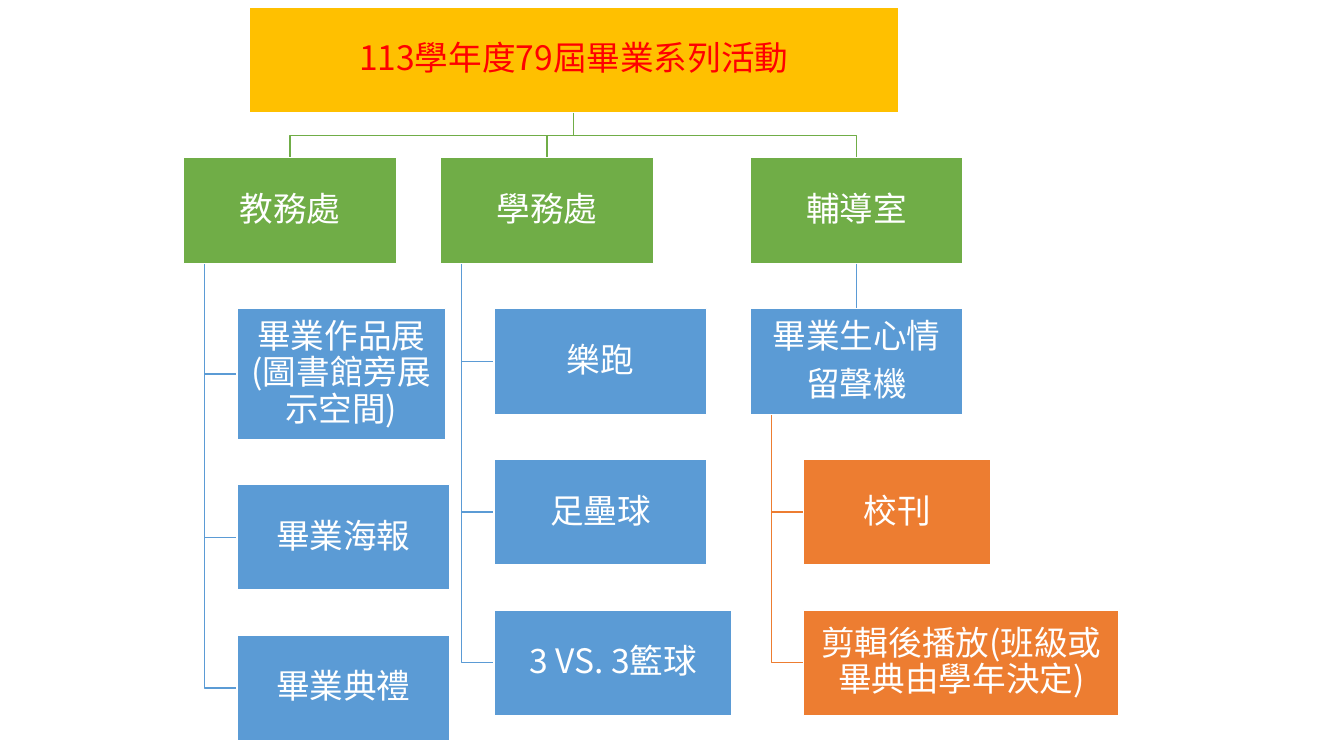
from dataclasses import dataclass

from lxml.etree import SubElement
from pptx import Presentation
from pptx.dml.color import RGBColor
from pptx.enum.shapes import MSO_CONNECTOR as Connector, MSO_SHAPE as Preset
from pptx.enum.text import MSO_ANCHOR as Anchor, MSO_AUTO_SIZE as AutoSize, PP_ALIGN as Align
from pptx.oxml.ns import qn
from pptx.util import Inches, Pt

FONT = "Noto Sans CJK SC"
GOLD, GREEN, BLUE, ORANGE = "FFC000", "70AD47", "5B9BD5", "ED7D31"
WHITE, RED = "FFFFFF", "FF0000"
HEIGHT, GAP, WIDTH = 1.05, 0.445, 2.11
INDENT, STEM = 0.53, 0.21
FIRST_TOP = 0.07


@dataclass
class Box:
    text: str
    left: float
    top: float
    fill: str
    width: float = WIDTH
    height: float = HEIGHT
    ink: str = WHITE

    @property
    def bottom(self) -> float:
        return self.top + self.height

    @property
    def center(self) -> float:
        return self.left + self.width / 2

    @property
    def middle(self) -> float:
        return self.top + self.height / 2

    @property
    def next_top(self) -> float:
        return self.bottom + GAP


@dataclass
class Leaf:
    text: str
    width: float = WIDTH
    height: float = HEIGHT


def color(value: str) -> RGBColor:
    return RGBColor.from_string(value)


def stack_leaves(parent: Box, fill: str, leaves: list[Leaf]) -> list[Box]:
    boxes: list[Box] = []
    top = parent.next_top
    for leaf in leaves:
        boxes.append(Box(leaf.text, parent.left + INDENT, top, fill, leaf.width, leaf.height))
        top = boxes[-1].next_top
    return boxes


def draw_elbow(slide, points: list[tuple[float, float]], stroke: str) -> None:
    corners = [(Inches(x), Inches(y)) for x, y in points]
    builder = slide.shapes.build_freeform(*corners[0])
    builder.add_line_segments(corners[1:], close=False)
    elbow = builder.convert_to_shape()
    elbow.shadow.inherit = False
    elbow.fill.background()
    elbow.line.color.rgb = color(stroke)
    elbow.line.width = Pt(1)


def fill_box(shape, box: Box) -> None:
    shape.left, shape.top = Inches(box.left), Inches(box.top)
    shape.width, shape.height = Inches(box.width), Inches(box.height)
    shape.fill.solid()
    shape.fill.fore_color.rgb = color(box.fill)
    shape.line.color.rgb = color(WHITE)
    shape.line.width = Pt(1)
    frame = shape.text_frame
    frame.text = box.text
    frame.word_wrap = True
    frame.auto_size = AutoSize.NONE
    frame.vertical_anchor = Anchor.MIDDLE
    frame.margin_left = frame.margin_right = Inches(0.02)
    frame.margin_top = frame.margin_bottom = Inches(0.02)
    for paragraph in frame.paragraphs:
        paragraph.alignment = Align.CENTER
        paragraph.line_spacing = 0.9
        paragraph.space_before = Pt(0)
        paragraph.space_after = Pt(8.4)
        for run in paragraph.runs:
            run.font.name = FONT
            run.font.size = Pt(24)
            run.font.color.rgb = color(box.ink)
            SubElement(run.font._element, qn("a:ea"), typeface=FONT)


def draw_box(slide, box: Box):
    shape = slide.shapes.add_shape(Preset.RECTANGLE, 0, 0, 0, 0)
    shape.shadow.inherit = False
    fill_box(shape, box)
    return shape


def join_vertically(slide, upper, lower, stroke: str) -> None:
    link = slide.shapes.add_connector(Connector.STRAIGHT, 0, 0, 0, 0)
    link.begin_connect(upper, 2)
    link.end_connect(lower, 0)
    link.line.color.rgb = color(stroke)
    link.line.width = Pt(1)
    SubElement(link._element.spPr, qn("a:effectLst"))


def main() -> None:
    deck = Presentation()
    deck.slide_width, deck.slide_height = Inches(13.33), Inches(7.5)
    slide = deck.slides.add_slide(deck.slide_layouts[5])

    event = Box("113學年度79屆畢業系列活動", 2.47, FIRST_TOP, GOLD, width=6.44, ink=RED)
    academic, student, counseling = offices = [
        Box(name, left, event.next_top, GREEN)
        for name, left in (("教務處", 1.82), ("學務處", 4.37), ("輔導室", 7.44))
    ]
    voices = Box("畢業生心情\n留聲機", counseling.left, counseling.next_top, BLUE)
    branches = [
        (academic, BLUE, [Leaf("畢業作品展(圖書館旁展示空間)", 2.07, 1.3),
                          Leaf("畢業海報"), Leaf("畢業典禮")]),
        (student, BLUE, [Leaf("樂跑"), Leaf("足壘球"), Leaf("3 VS. 3籃球", 2.36)]),
        (voices, ORANGE, [Leaf("校刊", 1.86), Leaf("剪輯後播放(班級或畢典由學年決定)", 3.13)]),
    ]

    fill_box(slide.shapes.title, event)
    fork = event.bottom + GAP / 2
    for office in offices:
        draw_elbow(slide, [(event.center, event.bottom), (event.center, fork),
                           (office.center, fork), (office.center, office.top)], GREEN)

    activities: list[Box] = []
    for parent, fill, leaves in branches:
        stem = parent.left + STEM
        for activity in stack_leaves(parent, fill, leaves):
            draw_elbow(slide, [(stem, parent.bottom), (stem, activity.middle),
                               (activity.left, activity.middle)], fill)
            activities.append(activity)

    for box in [academic, student, *activities]:
        draw_box(slide, box)
    join_vertically(slide, draw_box(slide, counseling), draw_box(slide, voices), BLUE)

    deck.save("out.pptx")


if __name__ == "__main__":
    main()
